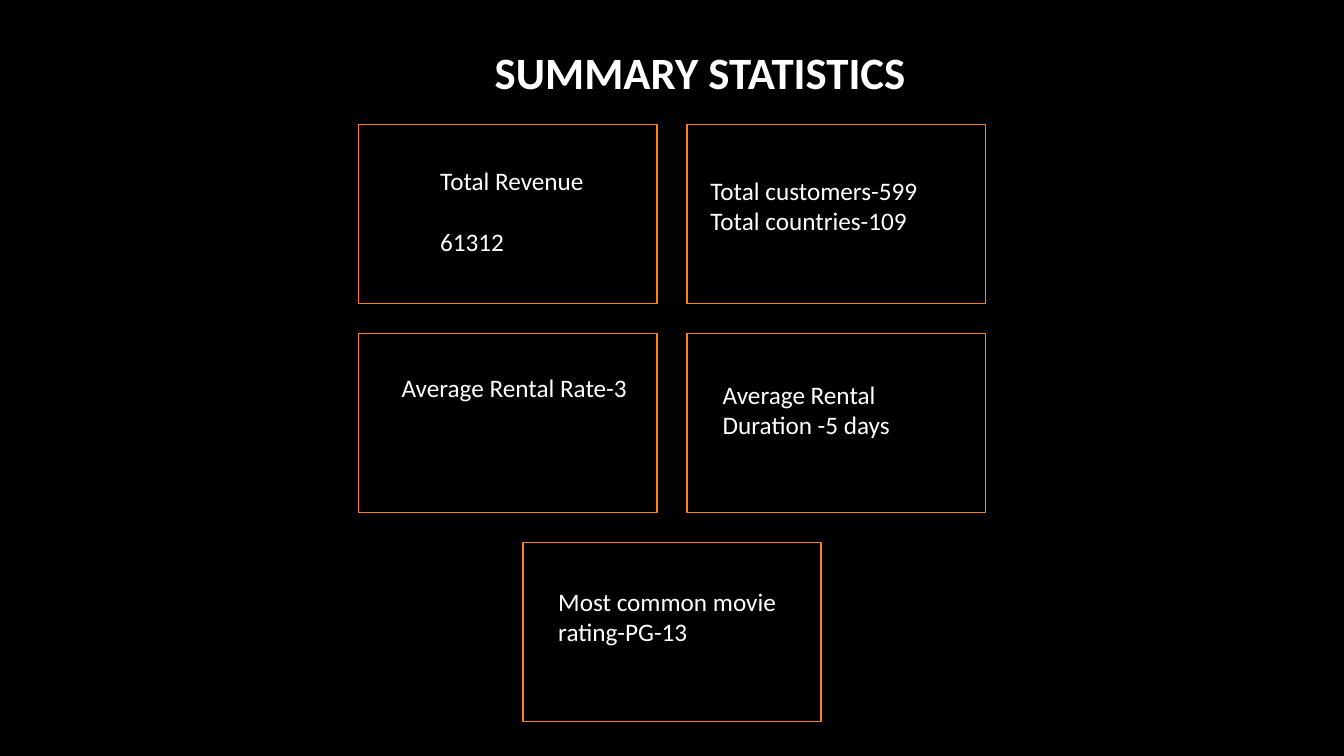
"""Build the summary statistics slide: a title above five outlined cards."""
from dataclasses import dataclass

from pptx import Presentation
from pptx.dml.color import RGBColor
from pptx.enum.shapes import MSO_SHAPE
from pptx.slide import Slide
from pptx.util import Pt

CARD_W, CARD_H, GAP = 213.1, 127.9, 21.3
GRID_LEFT, GRID_TOP = 256.3, 89.1


@dataclass(frozen=True)
class Label:
    left: float
    top: float
    width: float
    height: float
    lines: tuple[str, ...]
    size: float = 18
    bold: bool = False
    spacing: float = 0


@dataclass(frozen=True)
class Card:
    column: float
    row: int
    label: Label


TITLE = Label(346.3, 28.1, 445.7, 46.1, ("SUMMARY STATISTICS",), size=32, bold=True)
CARDS = (
    Card(0, 0, Label(307.4, 114.5, 201.6, 72.7, ("Total Revenue", "61312"), spacing=22)),
    Card(1, 0, Label(500.4, 121.7, 203.8, 50.9, ("Total customers-599", "Total countries-109"))),
    Card(0, 1, Label(279.8, 262.1, 180, 29.1, ("Average Rental Rate-3",))),
    Card(1, 1, Label(509.2, 267.1, 184.3, 50.9, ("Average Rental Duration -5 days",))),
    Card(0.5, 2, Label(391.7, 415.4, 185, 50.9, ("Most common movie rating-PG-13",))),
)


def color(value: str) -> RGBColor:
    return RGBColor.from_string(value)


def add_frame(s: Slide, card: Card) -> None:
    left = GRID_LEFT + card.column * (CARD_W + GAP)
    top = GRID_TOP + card.row * (CARD_H + GAP)
    sp = s.shapes.add_shape(MSO_SHAPE.RECTANGLE, Pt(left), Pt(top), Pt(CARD_W), Pt(CARD_H))
    sp.shadow.inherit = False
    sp.fill.background()
    sp.line.color.rgb = color("FE801A")
    sp.line.width = Pt(1)


def add_label(s: Slide, label: Label) -> None:
    sp = s.shapes.add_textbox(Pt(label.left), Pt(label.top), Pt(label.width), Pt(label.height))
    tf = sp.text_frame
    tf.word_wrap = True
    for i, line in enumerate(label.lines):
        p = tf.add_paragraph() if i else tf.paragraphs[0]
        if i:
            p.space_before = Pt(label.spacing)
        r = p.add_run()
        r.text = line
        r.font.name = "Calibri"
        r.font.size = Pt(label.size)
        r.font.bold = label.bold
        r.font.color.rgb = color("FFFFFF")


def main() -> None:
    prs = Presentation()
    prs.slide_width, prs.slide_height = Pt(960), Pt(540)
    s = prs.slides.add_slide(prs.slide_layouts[6])
    s.background.fill.solid()
    s.background.fill.fore_color.rgb = color("000000")
    for card in CARDS:
        add_frame(s, card)
    for label in (TITLE, *(card.label for card in CARDS)):
        add_label(s, label)
    prs.save("out.pptx")


if __name__ == "__main__":
    main()
